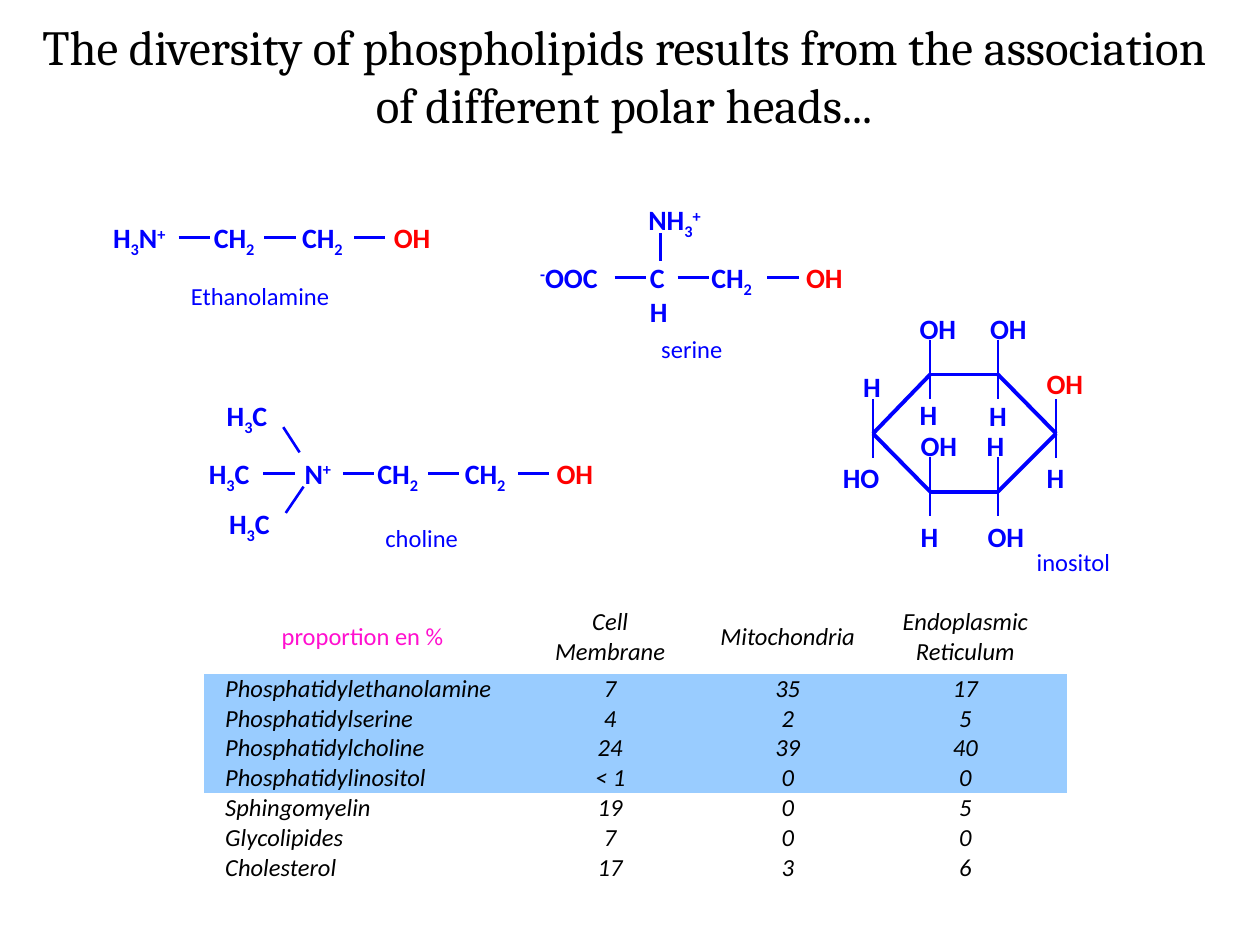
from itertools import pairwise

from pptx import Presentation
from pptx.dml.color import RGBColor
from pptx.enum.shapes import MSO_CONNECTOR
from pptx.enum.text import MSO_ANCHOR, PP_ALIGN
from pptx.oxml.ns import qn
from pptx.util import Cm, Pt

BLUE = RGBColor(0x00, 0x00, 0xFF)
RED = RGBColor(0xFF, 0x00, 0x00)
BLACK = RGBColor(0x00, 0x00, 0x00)
WHITE = RGBColor(0xFF, 0xFF, 0xFF)
MAGENTA = RGBColor(0xFF, 0x0F, 0xCF)
SKY = RGBColor(0x99, 0xCC, 0xFF)

BASELINES = {"_": "-25000", "^": "30000"}
GROUP_WIDTHS = {"H": 0.91, "C\nH": 0.94, "OH": 1.35, "HO": 1.35, "N^+": 1.15,
                "H_3N^+": 1.78, "NH_3^+": 1.78, "^-OOC": 1.93}
BOND_LENGTH = 0.63
BOND_Y = 0.47

PROPORTIONS = [
    ("Phosphatidylethanolamine", "7", "35", "17"),
    ("Phosphatidylserine", "4", "2", "5"),
    ("Phosphatidylcholine", "24", "39", "40"),
    ("Phosphatidylinositol", "< 1", "0", "0"),
    ("Sphingomyelin", "19", "0", "5"),
    ("Glycolipides", "7", "0", "0"),
    ("Cholesterol", "17", "3", "6"),
]
POLAR_HEAD_ROWS = 4


def write(frame, text, size=14, font="Calibri", color=BLUE, bold=False,
          italic=False, align=PP_ALIGN.LEFT):
    """Fill a text frame; _ lowers and ^ raises the one character after it."""
    frame.word_wrap = True
    for index, line in enumerate(text.split("\n")):
        paragraph = frame.paragraphs[0] if index == 0 else frame.add_paragraph()
        paragraph.alignment = align
        pieces = []
        mark = ""
        for char in line:
            if char in BASELINES:
                mark = char
            elif mark or not pieces or pieces[-1][0]:
                pieces.append((mark, char))
                mark = ""
            else:
                pieces[-1] = ("", pieces[-1][1] + char)
        for script, piece in pieces:
            run = paragraph.add_run()
            run.text = piece
            run.font.size = Pt(size)
            run.font.name = font
            run.font.color.rgb = color
            run.font.bold = bold
            run.font.italic = italic
            if script:
                run._r.get_or_add_rPr().set("baseline", BASELINES[script])


def add_text(slide, left, top, width, height, text, **style):
    box = slide.shapes.add_textbox(Cm(left), Cm(top), Cm(width), Cm(height))
    write(box.text_frame, text, **style)


def add_group(slide, left, top, formula, color=BLUE):
    """Place a chemical group such as CH_2 or OH."""
    height = 0.94 + 0.69 * formula.count("\n")
    add_text(slide, left, top, GROUP_WIDTHS.get(formula, 1.57), height, formula,
             size=16, bold=True, color=color)


def add_bond(slide, start, end, weight=1.5):
    bond = slide.shapes.add_connector(
        MSO_CONNECTOR.STRAIGHT, *(Cm(value) for value in (*start, *end)))
    bond.line.color.rgb = BLUE
    bond.line.width = Pt(weight)
    properties = bond._element.spPr
    properties.append(properties.makeelement(qn("a:effectLst"), {}))


def add_chain(slide, left, top, groups, bonds):
    """Place a horizontal carbon chain that ends in a red OH."""
    for x, formula in groups:
        add_group(slide, left + x, top, formula, RED if formula == "OH" else BLUE)
    for x in bonds:
        add_bond(slide, (left + x, top + BOND_Y),
                 (left + x + BOND_LENGTH, top + BOND_Y))


def add_ethanolamine(slide, left, top):
    add_chain(slide, left, top,
              [(0, "H_3N^+"), (2.03, "CH_2"), (3.81, "CH_2"), (5.66, "OH")],
              [1.57, 3.3, 5.11])
    add_text(slide, left + 1.57, top + 1.22, 3.33, 0.86, "Ethanolamine")


def add_serine(slide, left, top):
    add_chain(slide, left, top,
              [(0, "^-OOC"), (2.21, "C\nH"), (3.45, "CH_2"), (5.36, "OH")],
              [1.75, 3.02, 4.83])
    add_group(slide, left + 2.18, top - 1.17, "NH_3^+")
    add_bond(slide, (left + 2.67, top - 0.43), (left + 2.67, top + 0.13))
    add_text(slide, left + 2.44, top + 1.47, 1.85, 0.84, "serine")


def add_choline(slide, left, top):
    add_chain(slide, left, top,
              [(0, "H_3C"), (1.93, "N^+"), (3.4, "CH_2"), (5.16, "CH_2"),
               (7.01, "OH")],
              [1.35, 2.95, 4.67, 6.48])
    methyls = [((0.36, -1.17), (1.75, -0.46), (2.08, 0.05)),
               ((0.41, 1.02), (1.8, 1.27), (2.16, 0.74))]
    for (x, y), start, end in methyls:
        add_group(slide, left + x, top + y, "H_3C")
        add_bond(slide, (left + start[0], top + start[1]),
                 (left + end[0], top + end[1]))
    add_text(slide, left + 3.56, top + 1.35, 2.08, 0.84, "choline")


def add_inositol(slide, left, top):
    ring = [(left + x, top + y) for x, y in
            [(0.86, 2.59), (2.01, 1.4), (3.38, 1.4),
             (4.55, 2.59), (3.38, 3.76), (2.01, 3.76)]]
    for start, end in pairwise(ring + ring[:1]):
        add_bond(slide, start, end, weight=2.25)
    for x, y in ring:
        add_bond(slide, (x, y - 0.7), (x, y + 0.5))
    substituents = [
        (1.55, 0, "OH"), (2.97, 0, "OH"), (1.55, 1.73, "H"), (2.95, 1.75, "H"),
        (0.41, 1.17, "H"), (0, 3, "HO"), (4.11, 3, "H"),
        (1.57, 2.36, "OH"), (2.9, 2.36, "H"), (1.57, 4.19, "H"), (2.92, 4.19, "OH"),
    ]
    for x, y, formula in substituents:
        add_group(slide, left + x, top + y, formula)
    add_group(slide, left + 4.11, top + 1.12, "OH", RED)
    add_text(slide, left + 3.91, top + 4.75, 2.06, 0.84, "inositol")


def add_proportions(slide, left, top, width):
    header = ("proportion en %", "Cell\nMembrane", "Mitochondria",
              "Endoplasmic\nReticulum")
    rows = [header, *PROPORTIONS]
    header_height, row_height = 1.5, 0.6
    table = slide.shapes.add_table(
        len(rows), len(header), Cm(left), Cm(top), Cm(width),
        Cm(header_height + row_height * len(PROPORTIONS))).table
    table.first_row = table.horz_banding = False
    no_grid = "{2D5ABB26-0587-4C30-8999-92F81FD0307C}"
    table._tbl.tblPr.find(qn("a:tableStyleId")).text = no_grid
    value_width = 3.58
    last = len(header) - 1
    name_width = 6.4
    last_width = width - name_width - 2 * value_width
    for column, size in zip(table.columns,
                            (name_width, value_width, value_width, last_width)):
        column.width = Cm(size)
    for r, row in enumerate(rows):
        table.rows[r].height = Cm(row_height if r else header_height)
        for c, value in enumerate(row):
            cell = table.cell(r, c)
            is_name, is_title = r > 0 and c == 0, r == c == 0
            cell.margin_top = cell.margin_bottom = 0
            cell.margin_left = Cm(0.43 if is_name else 0)
            cell.margin_right = Cm(last_width - value_width if c == last else 0)
            cell.vertical_anchor = MSO_ANCHOR.MIDDLE
            cell.fill.solid()
            cell.fill.fore_color.rgb = SKY if 1 <= r <= POLAR_HEAD_ROWS else WHITE
            write(cell.text_frame, value, italic=not is_title,
                  color=MAGENTA if is_title else BLACK,
                  align=PP_ALIGN.LEFT if is_name else PP_ALIGN.CENTER)


def main():
    presentation = Presentation()
    presentation.slide_width, presentation.slide_height = Cm(25.4), Cm(19.05)
    slide = presentation.slides.add_slide(presentation.slide_layouts[6])
    add_text(slide, 0.48, 0.2, 24.2, 2.64,
             "The diversity of phospholipids results from the association "
             "of different polar heads...",
             size=28, font="Cambria", color=BLACK, align=PP_ALIGN.CENTER)
    add_ethanolamine(slide, 2.03, 4.32)
    add_serine(slide, 10.64, 5.13)
    add_choline(slide, 3.96, 9.07)
    add_inositol(slide, 16.74, 6.15)
    add_proportions(slide, 4.11, 12.09, 17.4)
    presentation.save("out.pptx")


if __name__ == "__main__":
    main()
